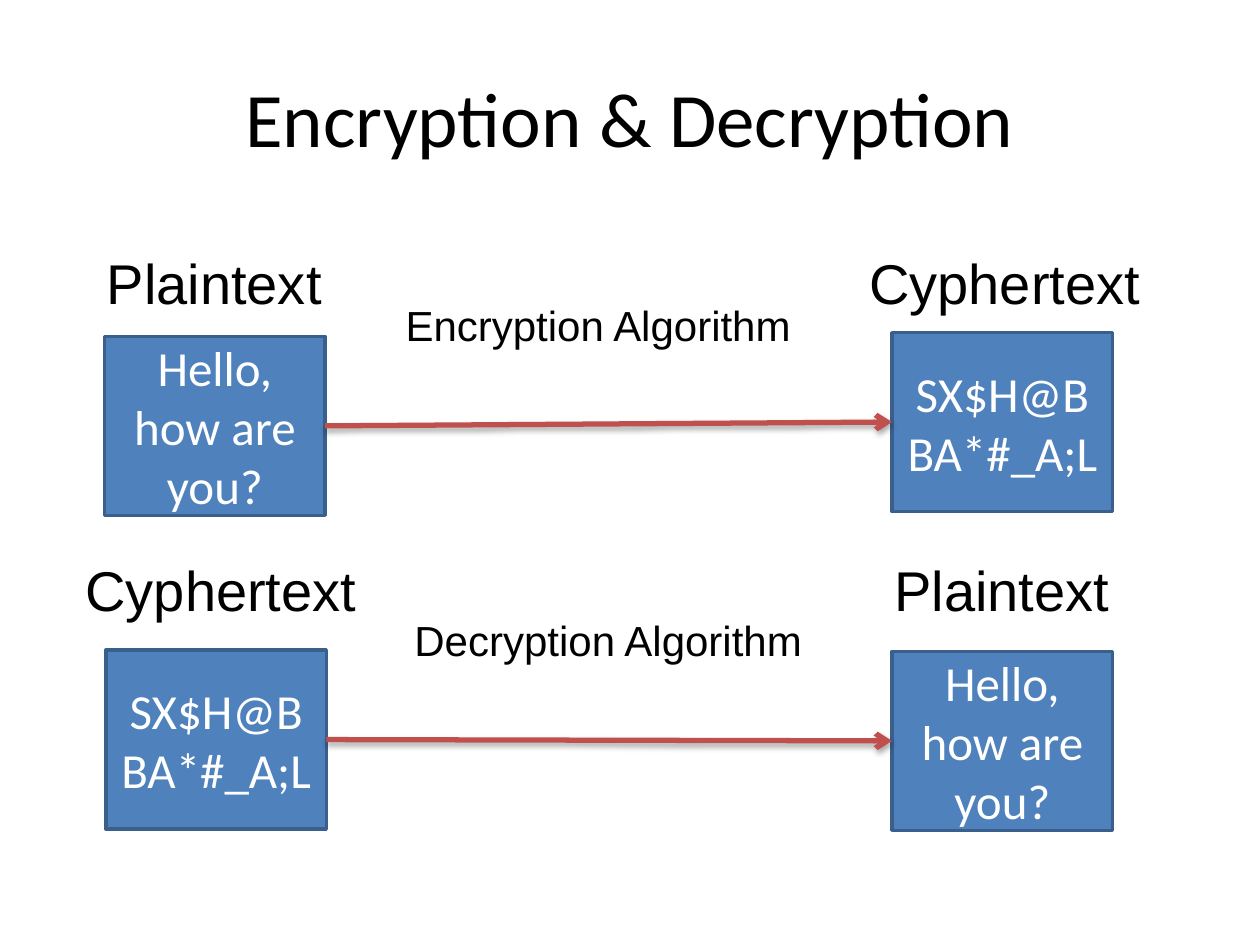
from dataclasses import dataclass

import pptx
import pptx.dml.color
import pptx.enum.shapes
import pptx.enum.text
import pptx.oxml
import pptx.oxml.ns
import pptx.util
from pptx.util import Inches

ALIGN = pptx.enum.text.PP_ALIGN
ANCHOR = pptx.enum.text.MSO_ANCHOR


@dataclass(frozen=True)
class Theme:
    ink: str = "000000"
    paper: str = "FFFFFF"
    block: str = "4F81BD"
    block_edge: str = "3A5F8C"
    arrow: str = "C0504D"
    heading_font: str = "Calibri"
    label_font: str = "Arial"
    title_size: int = 44
    message_size: int = 28
    label_size: int = 32
    algorithm_size: int = 24
    edge_width: int = 2
    arrow_width: int = 3


THEME = Theme()
BLOCK_WIDTH, BLOCK_HEIGHT = 1.75, 1.42
LABEL_HEIGHT, ALGORITHM_HEIGHT = 0.64, 0.5
LABEL_WIDTHS = {"Plaintext": 1.92, "Cyphertext": 2.37}
MESSAGES = {"Plaintext": "Hello, how are you?", "Cyphertext": "SX$H@BBA*#_A;L"}


def rgb(value):
    return pptx.dml.color.RGBColor.from_string(value)


def write(shape, text, size, font, color, align=ALIGN.LEFT, anchor=ANCHOR.TOP, wrap=True):
    frame = shape.text_frame
    frame.word_wrap = wrap
    frame.vertical_anchor = anchor
    para = frame.paragraphs[0]
    para.alignment = align
    span = para.add_run()
    span.text = text
    span.font.size = pptx.util.Pt(size)
    span.font.name = font
    span.font.color.rgb = rgb(color)


def add_title(page, left, top, width, height, text):
    box = page.shapes.add_textbox(Inches(left), Inches(top), Inches(width), Inches(height))
    write(box, text, THEME.title_size, THEME.heading_font, THEME.ink,
          ALIGN.CENTER, ANCHOR.MIDDLE)


def add_label(page, left, top, width, height, text, size):
    box = page.shapes.add_textbox(Inches(left), Inches(top), Inches(width), Inches(height))
    write(box, text, size, THEME.label_font, THEME.ink, wrap=False)


def add_message(page, left, top, kind, label_shift, block_drop):
    """Place a caption and, below it, the block with the message of that kind."""
    block = page.shapes.add_shape(
        pptx.enum.shapes.MSO_SHAPE.RECTANGLE, Inches(left), Inches(top + block_drop),
        Inches(BLOCK_WIDTH), Inches(BLOCK_HEIGHT))
    block.shadow.inherit = False
    block.fill.solid()
    block.fill.fore_color.rgb = rgb(THEME.block)
    block.line.color.rgb = rgb(THEME.block_edge)
    block.line.width = pptx.util.Pt(THEME.edge_width)
    write(block, MESSAGES[kind], THEME.message_size, THEME.heading_font, THEME.paper,
          ALIGN.CENTER, ANCHOR.MIDDLE)
    add_label(page, left + label_shift, top, LABEL_WIDTHS[kind], LABEL_HEIGHT,
              kind, THEME.label_size)
    return block


def add_arrow(page, source, target):
    """Join the right side of source to the left side of target."""
    arrow = page.shapes.add_connector(pptx.enum.shapes.MSO_CONNECTOR.STRAIGHT, 0, 0, 0, 0)
    arrow.begin_connect(source, 3)
    arrow.end_connect(target, 1)
    arrow.line.color.rgb = rgb(THEME.arrow)
    arrow.line.width = pptx.util.Pt(THEME.arrow_width)
    arrow.line._get_or_add_ln().append(pptx.oxml.parse_xml(
        f'<a:tailEnd {pptx.oxml.ns.nsdecls("a")} type="arrow"/>'))
    blur, distance = pptx.util.Pt(3.1), pptx.util.Pt(1.8)
    arrow._element.spPr.append(pptx.oxml.parse_xml(
        f'<a:effectLst {pptx.oxml.ns.nsdecls("a")}>'
        f'<a:outerShdw blurRad="{blur}" dist="{distance}" dir="5400000" rotWithShape="0">'
        f'<a:srgbClr val="{THEME.ink}"><a:alpha val="35000"/></a:srgbClr>'
        '</a:outerShdw></a:effectLst>'))


def add_flow(page, top, source, target, algorithm):
    """Place one row: source message, arrow with its algorithm, target message."""
    first = add_message(page, top=top, **source)
    second = add_message(page, top=top, **target)
    add_arrow(page, first, second)
    add_label(page, algorithm["left"], top + algorithm["drop"], algorithm["width"],
              ALGORITHM_HEIGHT, algorithm["text"], THEME.algorithm_size)


def main():
    deck = pptx.Presentation()
    deck.slide_width, deck.slide_height = Inches(10), Inches(7.5)
    page = deck.slides.add_slide(deck.slide_layouts[6])
    add_title(page, 0.5, 0.3, 9, 1.25, "Encryption & Decryption")
    add_flow(
        page, 1.92,
        dict(left=0.83, kind="Plaintext", label_shift=-0.08, block_drop=0.75),
        dict(left=7.08, kind="Cyphertext", label_shift=-0.28, block_drop=0.72),
        dict(left=3.12, drop=0.41, width=3.29, text="Encryption Algorithm"))
    add_flow(
        page, 4.36,
        dict(left=0.84, kind="Cyphertext", label_shift=-0.26, block_drop=0.8),
        dict(left=7.08, kind="Plaintext", label_shift=-0.08, block_drop=0.81),
        dict(left=3.19, drop=0.47, width=3.31, text="Decryption Algorithm"))
    deck.save("out.pptx")


if __name__ == "__main__":
    main()
